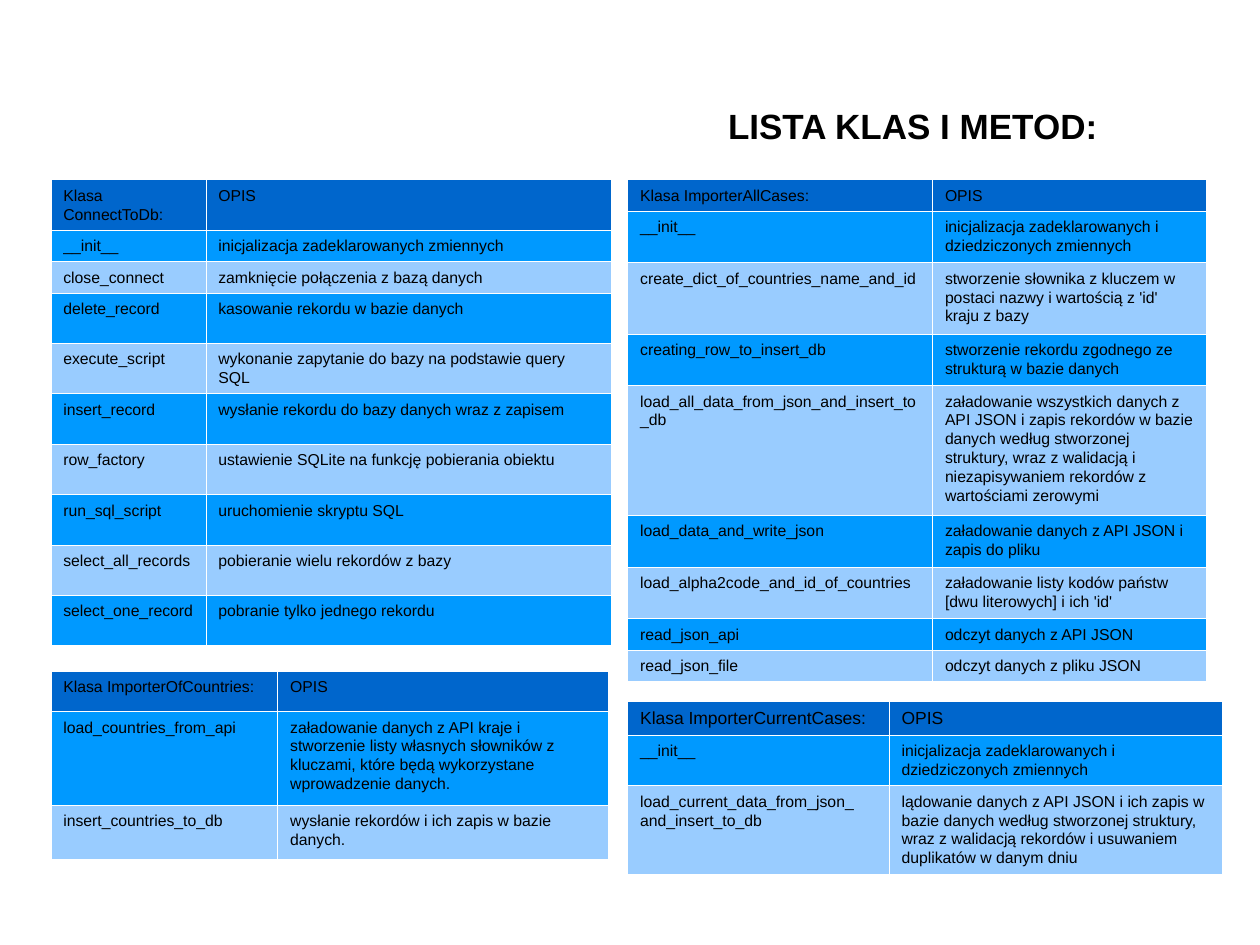
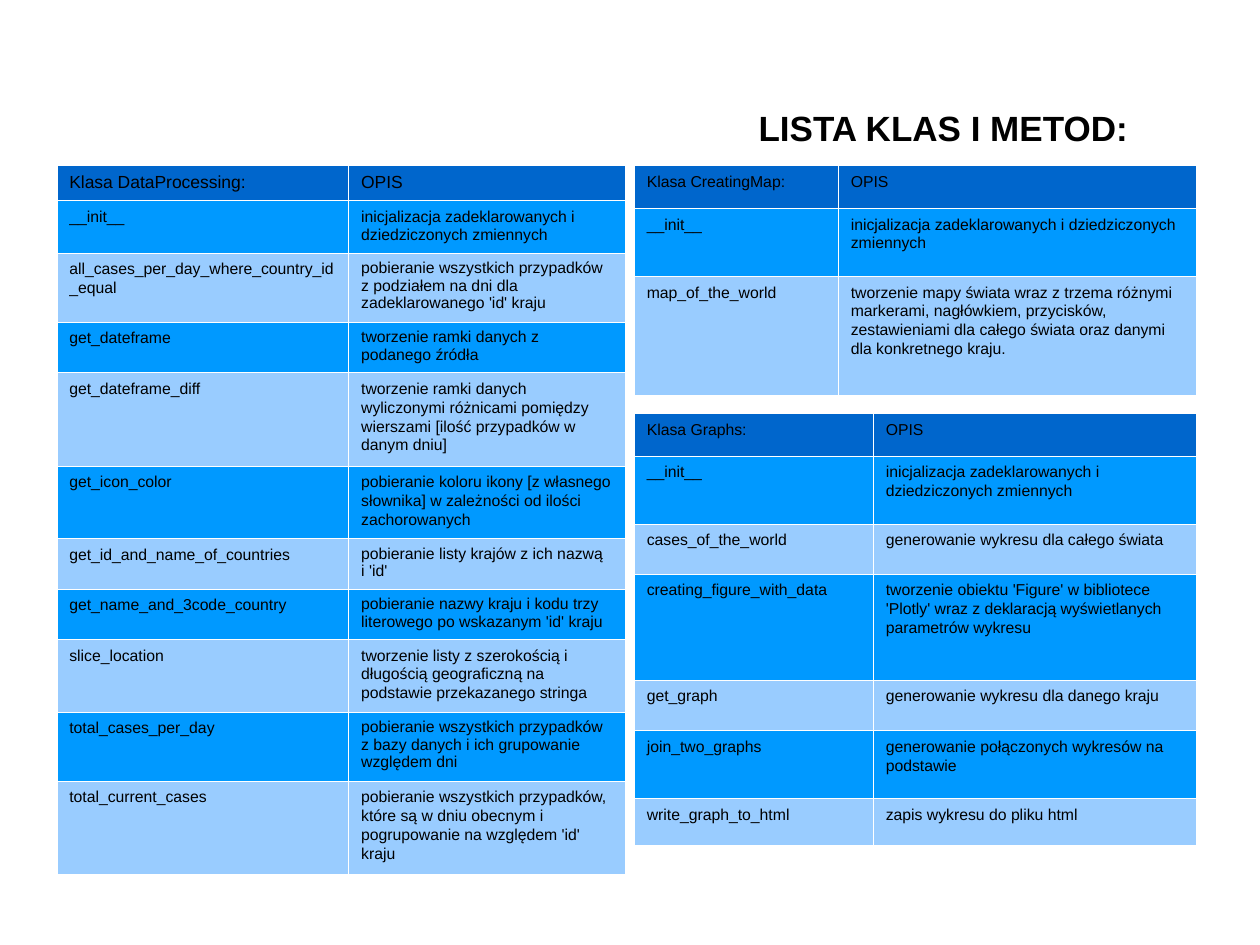
import pptx
import pptx.util
import pptx.dml.color
import pptx.enum.text
import pptx.oxml
import pptx.oxml.ns

Pt = pptx.util.Pt
RGBColor = pptx.dml.color.RGBColor

BLACK = RGBColor(0x00, 0x00, 0x00)
WHITE = RGBColor(0xFF, 0xFF, 0xFF)
HEADER_BLUE = RGBColor(0x00, 0x66, 0xCC)
BAND_BLUES = [RGBColor(0x00, 0x99, 0xFF), RGBColor(0x99, 0xCC, 0xFF)]

TITLE = "LISTA KLAS I METOD:"
TITLE_FONT = {"name": "Arial", "size": Pt(20), "bold": True}
CELL_FONT = {"name": "Arial", "size": Pt(9), "bold": False}
LINE_SPACING = 1.07
BORDER_WIDTH = Pt(0.06)

INIT = "__init__"
INIT_INHERITED = "inicjalizacja zadeklarowanych i dziedziczonych zmiennych"

CONNECT_TO_DB = [
    (28.8, "Klasa ConnectToDb:", "OPIS"),
    (18, INIT, "inicjalizacja zadeklarowanych zmiennych"),
    (18, "close_connect", "zamknięcie połączenia z bazą danych"),
    (28.8, "delete_record", "kasowanie rekordu w bazie danych"),
    (28.8, "execute_script", "wykonanie zapytanie do bazy na podstawie query SQL"),
    (28.8, "insert_record", "wysłanie rekordu do bazy danych wraz z zapisem"),
    (28.8, "row_factory", "ustawienie SQLite na funkcję pobierania obiektu"),
    (28.8, "run_sql_script", "uruchomienie skryptu SQL"),
    (28.8, "select_all_records", "pobieranie wielu rekordów z bazy"),
    (28.8, "select_one_record", "pobranie tylko jednego rekordu"),
]

IMPORTER_OF_COUNTRIES = [
    (23, "Klasa ImporterOfCountries:", "OPIS"),
    (53.3, "load_countries_from_api",
     "załadowanie danych z API kraje i stworzenie listy własnych słowników z kluczami, "
     "które będą wykorzystane wprowadzenie danych."),
    (31, "insert_countries_to_db", "wysłanie rekordów i ich zapis w bazie danych."),
]

IMPORTER_ALL_CASES = [
    (18, "Klasa ImporterAllCases:", "OPIS"),
    (29.5, INIT, INIT_INHERITED),
    (40.7, "create_dict_of_countries_name_and_id",
     "stworzenie słownika z kluczem w postaci nazwy i wartością z 'id' kraju z bazy"),
    (29.5, "creating_row_to_insert_db",
     "stworzenie rekordu zgodnego ze strukturą w bazie danych"),
    (74.2, "load_all_data_from_json_and_insert_to_db",
     "załadowanie wszystkich danych z API JSON i zapis rekordów w bazie danych według "
     "stworzonej struktury, wraz z walidacją i niezapisywaniem rekordów z wartościami zerowymi"),
    (29.5, "load_data_and_write_json", "załadowanie danych z API JSON i zapis do pliku"),
    (29.5, "load_alpha2code_and_id_of_countries",
     "załadowanie listy kodów państw [dwu literowych] i ich 'id'"),
    (18, "read_json_api", "odczyt danych z API JSON"),
    (18, "read_json_file", "odczyt danych z pliku JSON"),
]

IMPORTER_CURRENT_CASES = [
    (19, "Klasa ImporterCurrentCases:", "OPIS"),
    (29, INIT, INIT_INHERITED),
    (50.4, "load_current_data_from_json_\nand_insert_to_db",
     "lądowanie danych z API JSON i ich zapis w bazie danych według stworzonej struktury, "
     "wraz z walidacją rekordów i usuwaniem duplikatów w danym dniu"),
]

DATA_PROCESSING = [
    (20, "Klasa DataProcessing:", "OPIS"),
    (30, INIT, INIT_INHERITED),
    (39.6, "all_cases_per_day_where_country_id_equal",
     "pobieranie wszystkich przypadków z podziałem na dni dla zadeklarowanego 'id' kraju"),
    (28.8, "get_dateframe", "tworzenie ramki danych z podanego źródła"),
    (53.3, "get_dateframe_diff",
     "tworzenie ramki danych wyliczonymi różnicami pomiędzy wierszami "
     "[ilość przypadków w danym dniu]"),
    (41.5, "get_icon_color",
     "pobieranie koloru ikony [z własnego słownika] w zależności od ilości zachorowanych"),
    (28.8, "get_id_and_name_of_countries", "pobieranie listy krajów z ich nazwą\vi 'id'"),
    (28.8, "get_name_and_3code_country",
     "pobieranie nazwy kraju i kodu trzy literowego po wskazanym 'id' kraju"),
    (41.5, "slice_location",
     "tworzenie listy z szerokością i długością geograficzną na podstawie przekazanego stringa"),
    (39.6, "total_cases_per_day",
     "pobieranie wszystkich przypadków z bazy danych i ich grupowanie względem dni"),
    (53.3, "total_current_cases",
     "pobieranie wszystkich przypadków, które są w dniu obecnym i pogrupowanie na względem "
     "'id' kraju"),
]
SINGLE_SPACED_ROWS = (2, 3, 6, 7, 9)

CREATING_MAP = [
    (24.5, "Klasa CreatingMap:", "OPIS"),
    (38.9, INIT, INIT_INHERITED),
    (67.7, "map_of_the_world",
     "tworzenie mapy świata wraz z trzema różnymi markerami, nagłówkiem, przycisków, "
     "zestawieniami dla całego świata oraz danymi dla konkretnego kraju."),
]

GRAPHS = [
    (24.2, "Klasa Graphs:", "OPIS"),
    (38.9, INIT, INIT_INHERITED),
    (28.8, "cases_of_the_world", "generowanie wykresu dla całego świata"),
    (60.5, "creating_figure_with_data",
     "tworzenie obiektu 'Figure' w bibliotece 'Plotly' wraz z deklaracją wyświetlanych "
     "parametrów wykresu"),
    (28.8, "get_graph", "generowanie wykresu dla danego kraju"),
    (38.9, "join_two_graphs", "generowanie połączonych wykresów na podstawie"),
    (26.6, "write_graph_to_html", "zapis wykresu do pliku html"),
]


def set_attrs(obj, values):
    for name, value in values.items():
        setattr(obj, name, value)


def add_title_slide(prs, left, top, width, height):
    s = prs.slides.add_slide(prs.slide_layouts[5])
    sp = s.shapes.title
    set_attrs(sp, {"left": Pt(left), "top": Pt(top), "width": Pt(width), "height": Pt(height)})
    tf = sp.text_frame
    tf.text = TITLE
    set_attrs(tf, {"margin_left": 0, "margin_right": 0, "margin_top": 0, "margin_bottom": 0,
                   "vertical_anchor": pptx.enum.text.MSO_ANCHOR.MIDDLE, "word_wrap": True})
    p = tf.paragraphs[0]
    p.alignment = pptx.enum.text.PP_ALIGN.LEFT
    set_attrs(p.runs[0].font, TITLE_FONT)
    p.runs[0].font.color.rgb = BLACK
    return s


def add_borders(cell):
    tc_pr = cell._tc.get_or_add_tcPr()
    for side in ("lnL", "lnR", "lnT", "lnB"):
        tc_pr.append(pptx.oxml.parse_xml(
            f'<a:{side} {pptx.oxml.ns.nsdecls("a")} w="{BORDER_WIDTH}">'
            f'<a:solidFill><a:srgbClr val="{WHITE}"/></a:solidFill></a:{side}>'))


def fill_cell(cell, text, color, font, spacing):
    add_borders(cell)
    cell.fill.solid()
    cell.fill.fore_color.rgb = color
    cell.text_frame.text = text
    for p in cell.text_frame.paragraphs:
        p.line_spacing = spacing
        for r in p.runs:
            set_attrs(r.font, font)
            r.font.color.rgb = BLACK


def add_class_table(s, left, top, widths, rows, header_size=9, single_spaced=()):
    height = sum(row[0] for row in rows)
    table = s.shapes.add_table(len(rows), len(widths), Pt(left), Pt(top),
                               Pt(sum(widths)), Pt(height)).table
    set_attrs(table, {"first_row": False, "horz_banding": False})
    for column, width in zip(table.columns, widths):
        column.width = Pt(width)
    for i, (row_height, *texts) in enumerate(rows):
        table.rows[i].height = Pt(row_height)
        color = BAND_BLUES[(i - 1) % 2] if i else HEADER_BLUE
        font = CELL_FONT if i else {**CELL_FONT, "size": Pt(header_size)}
        for j, text in enumerate(texts):
            spacing = 1.0 if j and i in single_spaced else LINE_SPACING
            fill_cell(table.cell(i, j), text, color, font, spacing)


def main():
    prs = pptx.Presentation()
    set_attrs(prs, {"slide_width": Pt(720), "slide_height": Pt(540)})

    s = add_title_slide(prs, 416, 36, 294.5, 71.3)
    add_class_table(s, 29, 102.5, (88.6, 231.8), CONNECT_TO_DB)
    add_class_table(s, 29, 383.5, (129.6, 188.9), IMPORTER_OF_COUNTRIES)
    add_class_table(s, 358.6, 102.5, (174.2, 156.2), IMPORTER_ALL_CASES)
    add_class_table(s, 358.6, 400.7, (149.4, 190.6), IMPORTER_CURRENT_CASES, header_size=10)

    s = add_title_slide(prs, 433.5, 37.5, 279.4, 70.6)
    add_class_table(s, 32.4, 94.5, (166.8, 158.2), DATA_PROCESSING, header_size=10,
                    single_spaced=SINGLE_SPACED_ROWS)
    add_class_table(s, 362.4, 94.5, (116.6, 204.4), CREATING_MAP)
    add_class_table(s, 362.4, 236.2, (136.6, 184.4), GRAPHS)

    prs.save("out.pptx")


if __name__ == "__main__":
    main()
